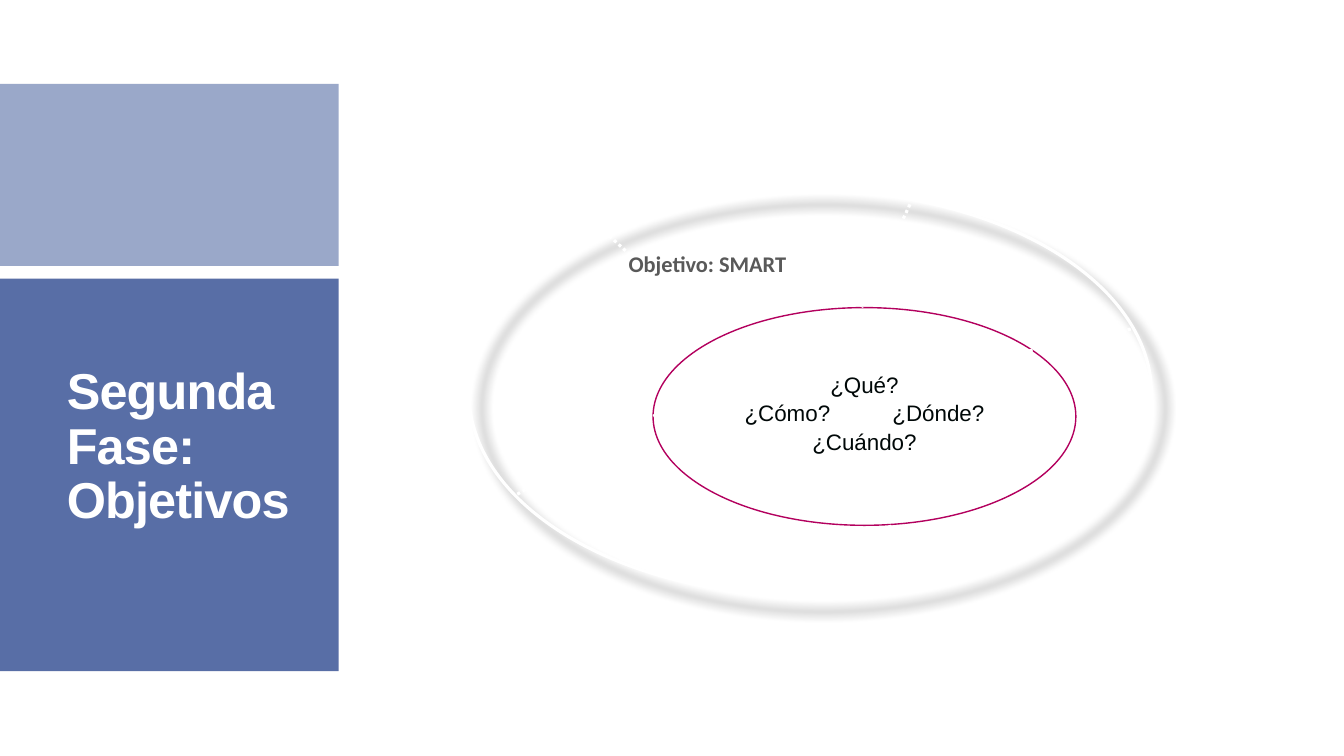
from pptx import Presentation
from pptx.dml.color import RGBColor
from pptx.enum.dml import MSO_LINE
from pptx.enum.shapes import MSO_CONNECTOR, MSO_SHAPE
from pptx.enum.text import MSO_ANCHOR, PP_ALIGN
from pptx.oxml.ns import qn
from pptx.util import Pt
from lxml.etree import SubElement


def color(hex_value):
    return RGBColor.from_string(hex_value)


class SlideBuilder:
    WHITE = "FFFFFF"
    BLUE = "586EA6"
    MAGENTA = "B3005E"
    INK = "000808"
    GRAY = "595959"

    def __init__(self, slide):
        self.slide = slide

    def place(self, shape, left, top, width, height):
        shape.left, shape.top = Pt(left), Pt(top)
        shape.width, shape.height = Pt(width), Pt(height)

    def run(self, paragraph, text, size, font, hex_value, bold=False, spacing=None):
        """Add one run; spacing is the extra space per letter in points."""
        run = paragraph.add_run()
        run.text = text
        run.font.size, run.font.name, run.font.bold = Pt(size), font, bold
        run.font.color.rgb = color(hex_value)
        if spacing is not None:
            run.font._element.set("spc", str(round(spacing * 100)))

    def title(self, text, box):
        title = self.slide.shapes.title
        self.place(title, *box)
        frame = title.text_frame
        frame.word_wrap = True
        frame.vertical_anchor = MSO_ANCHOR.MIDDLE
        frame.margin_bottom = Pt(43)
        paragraph = frame.paragraphs[0]
        paragraph.alignment = PP_ALIGN.LEFT
        paragraph.line_spacing = 0.9
        self.run(paragraph, text, 36, "Arial", self.WHITE, True, -0.6)

    def shape(self, kind, box, fill=None, line=None, line_width=1, opacity=100):
        shape = self.slide.shapes.add_shape(kind, *(Pt(value) for value in box))
        shape.shadow.inherit = False
        if fill:
            shape.fill.solid()
            shape.fill.fore_color.rgb = color(fill)
            if opacity < 100:
                tint = shape.fill._xPr.find(".//" + qn("a:srgbClr"))
                SubElement(tint, qn("a:alpha"), val=str(opacity * 1000))
        else:
            shape.fill.background()
        if line:
            shape.line.color.rgb = color(line)
            shape.line.width = Pt(line_width)
        else:
            shape.line.fill.background()
        return shape

    def shadow(self, shape, blur, distance, angle, opacity):
        effects = shape._element.spPr.find(qn("a:effectLst"))
        outer = SubElement(effects, qn("a:outerShdw"), blurRad=str(Pt(blur)),
                           dist=str(Pt(distance)), dir=str(angle * 60000),
                           algn="ctr", rotWithShape="0")
        tint = SubElement(outer, qn("a:srgbClr"), val="000000")
        SubElement(tint, qn("a:alpha"), val=str(opacity * 1000))

    def questions(self, shape, lines):
        """Write centred lines; the words of one line are set wide apart."""
        frame = shape.text_frame
        frame.word_wrap = False
        frame.vertical_anchor = MSO_ANCHOR.MIDDLE
        frame.margin_bottom = Pt(9.5)
        for index, words in enumerate(lines):
            paragraph = frame.add_paragraph() if index else frame.paragraphs[0]
            paragraph.alignment = PP_ALIGN.CENTER
            paragraph.line_spacing = 1.05
            for position, word in enumerate(words):
                if position:
                    self.run(paragraph, " ", 16, "Arial", self.INK, spacing=40)
                self.run(paragraph, word, 16, "Arial", self.INK)

    def spoke(self, *ends):
        spoke = self.slide.shapes.add_connector(
            MSO_CONNECTOR.STRAIGHT, *(Pt(value) for value in ends))
        spoke.line.color.rgb = color(self.WHITE)
        spoke.line.width = Pt(2.25)
        spoke.line.dash_style = MSO_LINE.ROUND_DOT
        SubElement(spoke._element.spPr, qn("a:effectLst"))

    def label(self, text, box):
        label = self.slide.shapes.add_textbox(*(Pt(value) for value in box))
        label.text_frame.word_wrap = True
        self.run(label.text_frame.paragraphs[0], text, 16, "Calibri", self.GRAY, True)


def main():
    deck = Presentation()
    deck.slide_width, deck.slide_height = Pt(960), Pt(540)
    builder = SlideBuilder(deck.slides.add_slide(deck.slide_layouts[5]))

    builder.shape(MSO_SHAPE.RECTANGLE, (0, 60, 242, 130), builder.BLUE, opacity=60)
    title_panel = builder.shape(MSO_SHAPE.RECTANGLE, (0, 199, 242, 280.5), builder.BLUE)
    # The title sits in front of its panel.
    title_panel._element.addnext(builder.slide.shapes.title._element)
    builder.title("Segunda Fase: Objetivos", (40.5, 208, 191.5, 263.5))

    smart_ring = builder.shape(MSO_SHAPE.OVAL, (335, 136, 487.5, 290),
                               line=builder.WHITE, line_width=2.25)
    builder.shadow(smart_ring, blur=7, distance=14, angle=50, opacity=48)
    core = builder.shape(MSO_SHAPE.OVAL, (466.5, 219.75, 302, 155.5),
                         builder.WHITE, builder.MAGENTA)
    builder.questions(core, [["¿Qué?"], ["¿Cómo?", "¿Dónde?"], ["¿Cuándo?"]])

    for ends in [(432, 165.5, 507, 234.5), (369.5, 353, 472.5, 294),
                 (621.5, 332.5, 650, 421), (696, 259, 810.5, 234.5),
                 (650, 146, 615.5, 219.5)]:
        builder.spoke(*ends)
    builder.label("Objetivo: SMART", (442, 175.5, 233, 47.5))

    deck.save("out.pptx")


if __name__ == "__main__":
    main()
